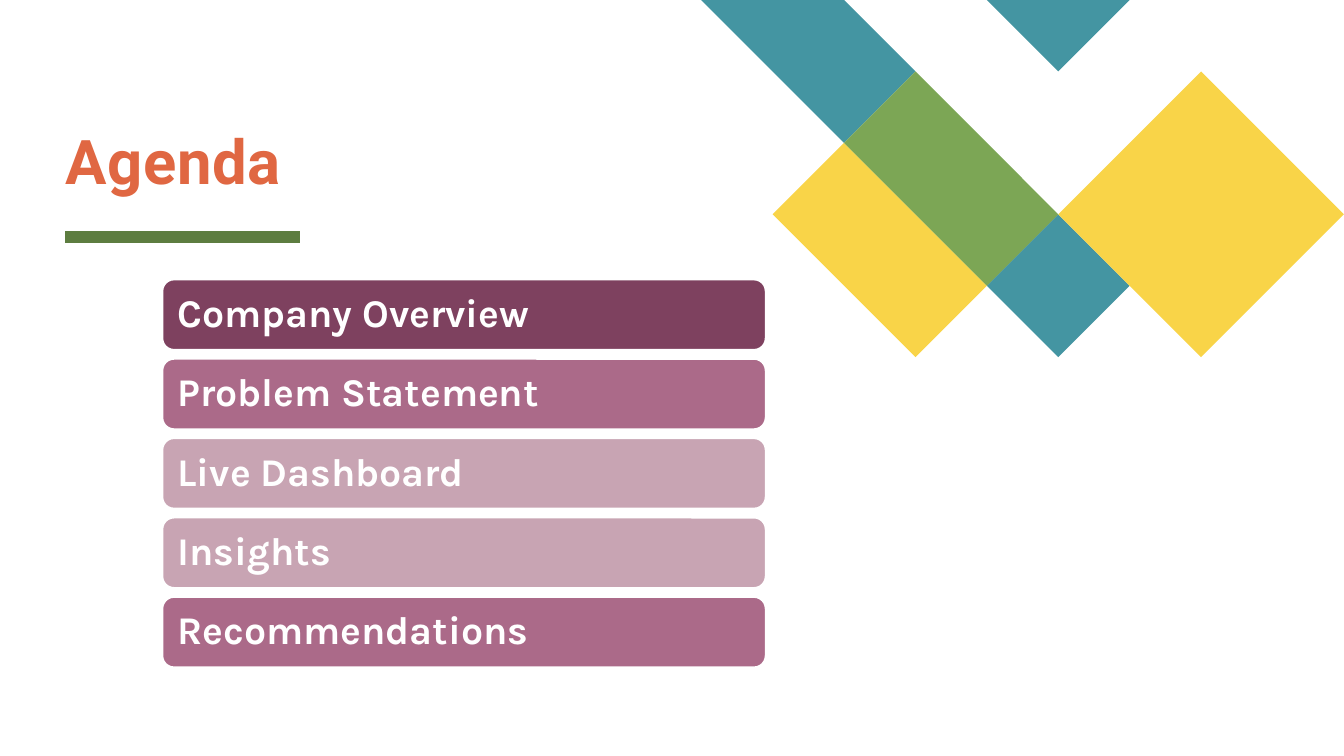
import pptx
import pptx.util
import pptx.dml.color
import pptx.enum.shapes
import pptx.enum.text
import pptx.oxml

Cm = pptx.util.Cm
Pt = pptx.util.Pt
RGB = pptx.dml.color.RGBColor
Anchor = pptx.enum.text.MSO_ANCHOR
Align = pptx.enum.text.PP_ALIGN

WHITE = RGB(0xFF, 0xFF, 0xFF)
TEAL = RGB(0x44, 0x95, 0xA2)
YELLOW = RGB(0xF9, 0xD4, 0x48)
GREEN = RGB(0x7C, 0xA6, 0x55)
OLIVE = RGB(0x5D, 0x7D, 0x40)
ORANGE = RGB(0xE0, 0x67, 0x42)
PLUM = RGB(0x7E, 0x41, 0x5F)
MAUVE = RGB(0xAB, 0x6A, 0x89)
PINK = RGB(0xC8, 0xA4, 0xB3)

LEFT = 1.65
STEP = 1.8
EDGE = 17.67

TILES = [
    (TEAL, [(0, 0), (2, 0), (3, 1), (2, 2)]),
    (TEAL, [(5, 3), (6, 4), (5, 5), (4, 4)]),
    (YELLOW, [(2, 2), (4, 4), (3, 5), (1, 3)]),
    (TEAL, [(4, 0), (6, 0), (5, 1)]),
    (GREEN, [(3, 1), (5, 3), (4, 4), (2, 2)]),
    (YELLOW, [(7, 1), (9, 3), (7, 5), (5, 3)]),
]

TOPICS = [
    ("Company Overview", PLUM),
    ("Problem Statement", MAUVE),
    ("Live Dashboard", PINK),
    ("Insights", PINK),
    ("Recommendations", MAUVE),
]


class Deck:
    """Draws styled elements on the current slide."""

    def __init__(self, slide):
        self.shapes = slide.shapes
        self.head = "Roboto"
        self.body = "Karla"

    def tile(self, color, spots):
        points = [(Cm(EDGE + STEP * x), Cm(STEP * y)) for x, y in spots]
        pen = self.shapes.build_freeform(*points[0])
        pen.add_line_segments(points[1:], close=True)
        shape = pen.convert_to_shape()
        shape.shadow.inherit = False
        shape.fill.solid()
        shape.fill.fore_color.rgb = color
        shape.line.fill.background()

    def rule(self, left, top, width, color):
        line = self.shapes.add_connector(
            pptx.enum.shapes.MSO_CONNECTOR.STRAIGHT,
            Cm(left), Cm(top), Cm(left + width), Cm(top))
        line.line.color.rgb = color
        line.line.width = Pt(8)
        props = line._element.spPr
        props.append(props.makeelement(pptx.oxml.ns.qn("a:effectLst"), {}))

    def label(self, frame, text, font, size, color, inset, anchor, pitch):
        frame.word_wrap = True
        frame.vertical_anchor = anchor
        frame.margin_left = frame.margin_right = Cm(inset)
        frame.margin_top = frame.margin_bottom = Cm(inset)
        para = frame.paragraphs[0]
        para.alignment = Align.LEFT
        para.line_spacing = pitch
        run = para.add_run()
        run.text = text
        run.font.name = font
        run.font.size = Pt(size)
        run.font.bold = True
        run.font.color.rgb = color
        return run

    def title(self, text):
        box = self.shapes.add_textbox(Cm(LEFT), Cm(0.53), Cm(18.85), Cm(4.42))
        run = self.label(box.text_frame, text, self.head, 44, ORANGE,
                         0, Anchor.BOTTOM, 0.8)
        run._r.get_or_add_rPr().set("spc", "50")

    def bar(self, top, text, color):
        shape = self.shapes.add_shape(
            pptx.enum.shapes.MSO_SHAPE.ROUNDED_RECTANGLE,
            Cm(4.09), Cm(top), Cm(15.21), Cm(1.78))
        shape.shadow.inherit = False
        shape.fill.solid()
        shape.fill.fore_color.rgb = color
        shape.line.color.rgb = WHITE
        shape.line.width = Pt(1.5)
        self.label(shape.text_frame, text, self.body, 28, WHITE,
                   0.3, Anchor.MIDDLE, 0.9)


def main():
    show = pptx.Presentation()
    show.slide_width = Cm(33.87)
    show.slide_height = Cm(19.05)
    deck = Deck(show.slides.add_slide(show.slide_layouts[6]))
    for color, spots in TILES:
        deck.tile(color, spots)
    deck.rule(LEFT, 5.97, 5.92, OLIVE)
    deck.title("Agenda")
    for row, (text, color) in enumerate(TOPICS):
        deck.bar(7.04 + 2 * row, text, color)
    show.save("out.pptx")


if __name__ == "__main__":
    main()
